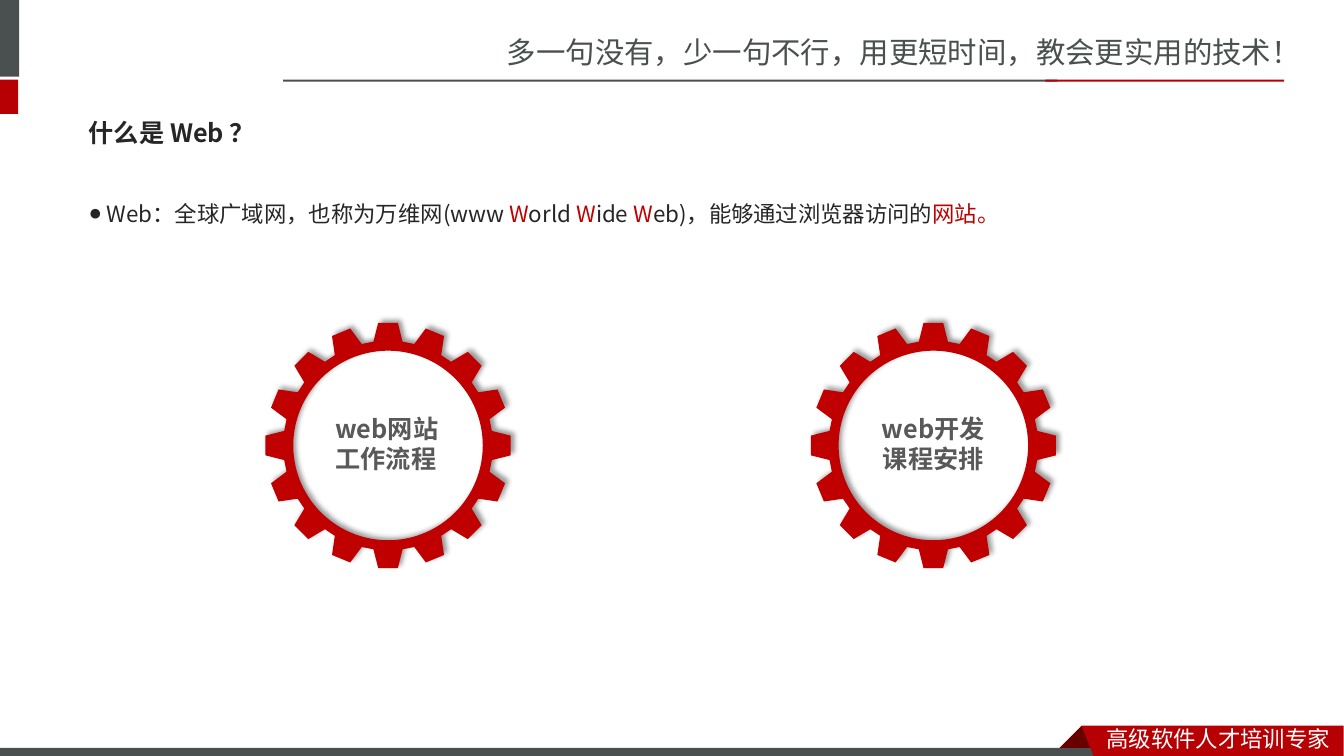
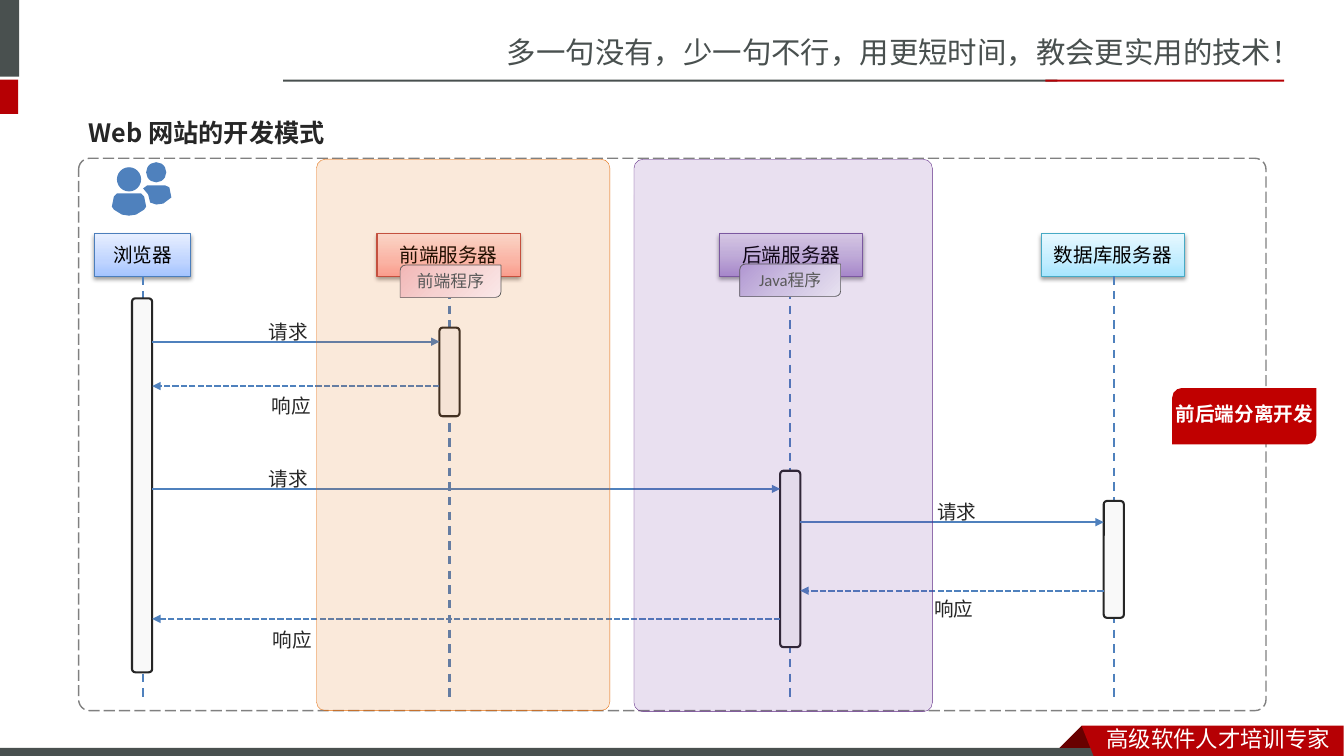
from itertools import chain
from math import cos, radians, sin

from lxml.etree import SubElement
from pptx import Presentation
from pptx.dml.color import RGBColor
from pptx.enum.dml import MSO_LINE
from pptx.enum.shapes import MSO_CONNECTOR, MSO_SHAPE
from pptx.enum.text import MSO_ANCHOR, MSO_AUTO_SIZE, PP_ALIGN
from pptx.oxml.ns import qn
from pptx.util import Emu, Pt

EMU_PER_PX = 9144
SLIDE_SIZE = Emu(12192000), Emu(6858000)

WHITE = RGBColor(0xFF, 0xFF, 0xFF)
BLACK = RGBColor(0x00, 0x00, 0x00)
INK = RGBColor(0x26, 0x26, 0x26)
LABEL_GREY = RGBColor(0x59, 0x59, 0x59)
FRAME_GREY = RGBColor(0x80, 0x80, 0x80)
SLATE = RGBColor(0x49, 0x50, 0x4F)
BRAND_RED = RGBColor(0xB6, 0x00, 0x04)
FOLD_RED = RGBColor(0x68, 0x00, 0x00)
ACCENT_RED = RGBColor(0xC0, 0x00, 0x00)
BLUE = RGBColor(0x4F, 0x81, 0xBD)
BAR_FILL = RGBColor(0xF9, 0xF9, 0xF9)
BROWSER_LINE = RGBColor(0x4B, 0x7E, 0xBC)
FRONT_LINE = RGBColor(0xBF, 0x4C, 0x48)
BACK_LINE = RGBColor(0x7D, 0x60, 0xA0)
DATABASE_LINE = RGBColor(0x46, 0xAA, 0xC5)
ORANGE = RGBColor(0xE4, 0x6C, 0x0A)
PURPLE = RGBColor(0x70, 0x30, 0xA0)
PURPLE_LINE = RGBColor(0x5D, 0x28, 0x84)

# Gradient stops: (position in percent, colour)
BLUE_FADE = [(0, "A4C4FF"), (35, "BFD4FF"), (100, "E6EEFF")]
RED_FADE = [(0, "FFA6A5"), (35, "FFC0BF"), (100, "FFE7E7")]
PURPLE_FADE = [(0, "B197D2"), (50, "CEC1E2"), (100, "E7E1F0")]
CYAN_FADE = [(0, "A7E6FF"), (35, "C1EDFF"), (100, "E7F8FF")]
PINK_FADE = [(0, "F2B7B6"), (50, "F6D2D1"), (100, "FAE8E8")]

SANS_SC, SANS_JP, CALIBRI = "Noto Sans CJK SC", "Noto Sans CJK JP", "Calibri"
SLOGAN_STYLE = dict(size=21, color=SLATE, name=SANS_SC)
FOOTER_STYLE = dict(size=16, color=WHITE, name=SANS_SC)
TITLE_STYLE = dict(size=18, color=INK, name=SANS_JP, bold=True)
BODY_STYLE = dict(size=16, color=INK, name=SANS_JP, spacing=1.5)
GEAR_STYLE = dict(size=18, color=LABEL_GREY, name=SANS_JP, bold=True)
MESSAGE_STYLE = dict(size=14, color=INK, name=SANS_JP, spacing=1.5)
ACTOR_STYLE = dict(size=14, color=BLACK, name=CALIBRI, align=PP_ALIGN.CENTER)
BADGE_STYLE = dict(ACTOR_STYLE, color=WHITE, bold=True)
CHIP_STYLE = dict(ACTOR_STYLE, size=12, color=LABEL_GREY)

SLOGAN = "多一句没有，少一句不行，用更短时间，教会更实用的技术！"
FOOTER = "高级软件人才培训专家"
FRAME_BARS = [
    ((0, 0, 19, 76), SLATE), ((0, 79, 18, 34), BRAND_RED),
    ((281, 79, 768, 2), SLATE), ((1037, 79, 237, 2), BRAND_RED),
    ((0, 742, 1099, 8), SLATE),
]
RIBBON_FOLD = [(1073, 720), (1095, 742), (1051, 742)]
RIBBON = [(1073, 720), (1333, 720), (1333, 750), (1085, 750)]

WEB_TITLE = "什么是 Web ？"
# Runs: (text, accented)
WEB_DEFINITION = [
    ("Web：全球广域网，也称为万维网(www ", False), ("W", True), ("orld ", False),
    ("W", True), ("ide ", False), ("W", True),
    ("eb)，能够通过浏览器访问的", False), ("网站。", True),
]
# Gears: centre, label lines, label box, alignment
GEARS = [
    ((385, 442), ["web网站工作流程"], (323, 405, 123, 71), PP_ALIGN.LEFT),
    ((926, 442), ["web开发", "课程安排"], (846, 405, 160, 71), PP_ALIGN.CENTER),
]

MODE_TITLE = "Web 网站的开发模式"
BAR_WIDTH = 20
# Actors: label, box left and width, gradient, line, lifeline x, bar left, top and bottom
ACTORS = [
    ("浏览器", 94, 95, BLUE_FADE, BROWSER_LINE, 142, 131, 296, 667),
    ("前端服务器", 374, 142, RED_FADE, FRONT_LINE, 446, 436, 325, 413),
    ("后端服务器", 714, 142, PURPLE_FADE, BACK_LINE, 784, 774, 467, 642),
    ("数据库服务器", 1033, 142, CYAN_FADE, DATABASE_LINE, 1105, 1095, 497, 613),
]
BROWSER, FRONT, BACK, DATABASE = range(4)
REQUEST, RESPONSE = "请求", "响应"
# Messages: sender, receiver, y, label, label left and top
MESSAGES = [
    (BROWSER, FRONT, 339, REQUEST, 257, 301), (FRONT, BROWSER, 383, RESPONSE, 260, 374),
    (BROWSER, BACK, 485, REQUEST, 257, 447), (BACK, DATABASE, 518, REQUEST, 920, 479),
    (DATABASE, BACK, 586, RESPONSE, 917, 576), (BACK, BROWSER, 614, RESPONSE, 261, 606),
]
# Bands: box, corner, fill, line
BANDS = [
    ((314, 158, 291, 547), 0.03, ORANGE, ORANGE),
    ((629, 158, 296, 548), 0.03, PURPLE, PURPLE_LINE),
]
CHIPS = [("前端程序", 397, 263, PINK_FADE), ("Java程序", 734, 262, PURPLE_FADE)]
BADGE = "前后端分离开发"
USER_BODIES = [
    [(116, 192), (140, 192), (143, 195), (145, 205), (143, 208), (135, 213),
     (128, 214), (121, 213), (113, 208), (111, 205), (113, 195)],
    [(146, 184), (164, 184), (168, 186), (170, 196), (162, 202), (155, 203),
     (149, 201), (147, 193), (142, 187)],
]
USER_HEADS = [((128, 178), 12), ((155, 171), 10)]


def px(length):
    return Emu(round(length * EMU_PER_PX))


def place(shape, box):
    shape.left, shape.top, shape.width, shape.height = map(px, box)


def style_paragraph(paragraph, size, color, name, bold=False, align=PP_ALIGN.LEFT, spacing=1.0):
    paragraph.alignment = align
    paragraph.line_spacing = spacing
    paragraph.space_before = Pt(0)
    font = paragraph.font
    font.size, font.bold, font.name = Pt(size), bold, name
    font.color.rgb = color
    east_asian = SANS_SC if name == CALIBRI else name
    SubElement(paragraph._p.pPr.find(qn("a:defRPr")), qn("a:ea"), typeface=east_asian)


def write(shape, lines, style):
    frame = shape.text_frame
    frame.word_wrap = True
    frame.text = "\n".join(lines)
    for paragraph in frame.paragraphs:
        style_paragraph(paragraph, **style)
    return frame


def add_text(slide, box, lines, style):
    write(slide.shapes.add_textbox(*map(px, box)), lines, style)


def paint(shape, fill=None, line=None, width=1):
    shape.shadow.inherit = False
    if fill is None:
        shape.fill.background()
    else:
        shape.fill.solid()
        shape.fill.fore_color.rgb = fill
    if line is None:
        shape.line.fill.background()
    else:
        shape.line.color.rgb = line
        shape.line.width = Pt(width)


def add_box(slide, kind, box, fill=None, line=None, width=1, corner=None):
    shape = slide.shapes.add_shape(kind, *map(px, box))
    paint(shape, fill, line, width)
    if corner is not None:
        shape.adjustments[0] = corner
    return shape


def add_outline(slide, contours, fill, circles=()):
    """Draw closed contours and circles as one shape; an inner circle cuts a hole."""
    diamonds = [[(x - r, y), (x, y - r), (x + r, y), (x, y + r)] for (x, y), r in circles]
    first, *others = contours + diamonds
    builder = slide.shapes.build_freeform(*map(px, first[0]))
    builder.add_line_segments([(px(x), px(y)) for x, y in first[1:]])
    for contour in others:
        builder.move_to(*map(px, contour[0]))
        builder.add_line_segments([(px(x), px(y)) for x, y in contour[1:]])
    shape = builder.convert_to_shape()
    starts = shape.element.xpath(".//a:path/a:moveTo")[len(contours):]
    for start, (_, radius) in zip(starts, circles):
        round_off(start, px(radius))
    paint(shape, fill)
    return shape


def round_off(start, radius):
    """Replace the straight sides that follow a moveTo by two half circles."""
    path_element = start.getparent()
    while start.getnext().tag == qn("a:lnTo"):
        path_element.remove(start.getnext())
    for angle in (0, 10800000):
        arc = SubElement(path_element, qn("a:arcTo"), wR=str(radius), hR=str(radius),
                         stAng=str(angle), swAng="10800000")
        start.addnext(arc)


def polar(center, radius, degrees):
    angle = radians(degrees)
    return center[0] + radius * sin(angle), center[1] - radius * cos(angle)


def gear_rim(center, teeth=16):
    tooth = [(104, -8), (122, -4.6), (122, 4.6), (104, 8)]
    return [polar(center, radius, index * 360 / teeth + offset)
            for index in range(teeth) for radius, offset in tooth]


def add_shadow(shape, alpha, blur, distance, direction):
    effects = shape.element.spPr.find(qn("a:effectLst"))
    shadow = SubElement(effects, qn("a:outerShdw"), blurRad=str(Pt(blur)), dist=str(Pt(distance)),
                        dir=str(direction * 60000), algn="ctr", rotWithShape="0")
    color = SubElement(shadow, qn("a:srgbClr"), val="000000")
    SubElement(color, qn("a:alpha"), val=str(alpha * 1000))


def set_gradient(shape, stops, angle):
    shape.fill.gradient()
    gradient = shape.element.spPr.find(qn("a:gradFill"))
    gradient.find(qn("a:lin")).set("ang", str(angle * 60000))
    stop_list = gradient.find(qn("a:gsLst"))
    for stop in list(stop_list):
        stop_list.remove(stop)
    for position, color in stops:
        stop = SubElement(stop_list, qn("a:gs"), pos=str(position * 1000))
        SubElement(stop, qn("a:srgbClr"), val=color)


def add_line(slide, start, end, dash=None, arrow=False):
    line = slide.shapes.add_connector(MSO_CONNECTOR.STRAIGHT, *map(px, chain(start, end)))
    line.line.color.rgb = BLUE
    line.line.width = Pt(1.5)
    if dash is not None:
        line.line.dash_style = dash
    if arrow:
        SubElement(line.line._get_or_add_ln(), qn("a:tailEnd"), type="triangle")
    SubElement(line.element.spPr, qn("a:effectLst"))


def move_frame_to_master(slide, master):
    """Draw the shared bands, slogan and footer, then hand them to the master."""
    own = {shape.shape_id for shape in slide.shapes}
    for box, color in FRAME_BARS:
        add_box(slide, MSO_SHAPE.RECTANGLE, box, color)
    add_outline(slide, [RIBBON_FOLD], FOLD_RED)
    add_outline(slide, [RIBBON], BRAND_RED)
    add_text(slide, (493, 29, 840, 47), [SLOGAN], SLOGAN_STYLE)
    add_text(slide, (1088, 714, 245, 36), [FOOTER], FOOTER_STYLE)
    for shape in [shape for shape in slide.shapes if shape.shape_id not in own]:
        shape.element.xpath("./*/p:cNvPr")[0].set("id", str(100 + shape.shape_id))
        master.shapes.element.append(shape.element)


def add_slide(presentation, layout_index, title):
    slide = presentation.slides.add_slide(presentation.slide_layouts[layout_index])
    place(slide.shapes.title, (78, 103, 370, 57))
    frame = write(slide.shapes.title, [title], TITLE_STYLE)
    frame.vertical_anchor = MSO_ANCHOR.MIDDLE
    frame.auto_size = MSO_AUTO_SIZE.NONE
    return slide


def fill_web_slide(slide):
    body = slide.placeholders[1]
    place(body, (78, 180, 946, 59))
    body.text_frame.auto_size = MSO_AUTO_SIZE.NONE
    paragraph = body.text_frame.paragraphs[0]
    properties = paragraph._p.get_or_add_pPr()
    properties.set("marL", str(px(18)))
    properties.set("indent", str(-px(18)))
    SubElement(properties, qn("a:buChar"), char="●")
    style_paragraph(paragraph, **BODY_STYLE)
    for text, accented in WEB_DEFINITION:
        run = paragraph.add_run()
        run.text = text
        if accented:
            run.font.color.rgb = ACCENT_RED
    for center, lines, box, align in GEARS:
        gear = add_outline(slide, [gear_rim(center)], ACCENT_RED, [(center, 94)])
        add_shadow(gear, 40, 4, 3, 315)
        add_text(slide, box, lines, dict(GEAR_STYLE, align=align))


def fill_mode_slide(slide):
    for label, left, width, stops, line, x, bar_left, top, bottom in ACTORS:
        actor = add_box(slide, MSO_SHAPE.RECTANGLE, (left, 232, width, 42), WHITE, line, 0.75)
        set_gradient(actor, stops, 270)
        add_shadow(actor, 38, 3.1, 1.6, 90)
        write(actor, [label], ACTOR_STYLE)
        add_line(slide, (x, 274), (x, 693), MSO_LINE.DASH)
        bar_box = (bar_left, top, BAR_WIDTH, bottom - top)
        add_box(slide, MSO_SHAPE.ROUNDED_RECTANGLE, bar_box, BAR_FILL, INK, 1.5)
    for sender, receiver, y, label, left, top in MESSAGES:
        start, end = ACTORS[sender][6], ACTORS[receiver][6]
        if start < end:
            start += BAR_WIDTH
        else:
            end += BAR_WIDTH
        dash = MSO_LINE.SQUARE_DOT if label == RESPONSE else None
        add_line(slide, (start, y), (end, y), dash, arrow=True)
        add_text(slide, (left, top, 67, 39), [label], MESSAGE_STYLE)
    add_outline(slide, USER_BODIES, BLUE, USER_HEADS)
    frame = add_box(slide, MSO_SHAPE.ROUNDED_RECTANGLE, (78, 157, 1178, 548), None, FRAME_GREY, 1, 0.02)
    frame.line.dash_style = MSO_LINE.LONG_DASH
    badge = add_box(slide, MSO_SHAPE.ROUND_2_DIAG_RECTANGLE, (1163, 385, 143, 56), ACCENT_RED)
    text = write(badge, [BADGE], BADGE_STYLE)
    text.margin_left = text.margin_right = text.margin_top = 0
    text.margin_bottom = px(5)
    for box, corner, fill, line in BANDS:
        band = add_box(slide, MSO_SHAPE.ROUNDED_RECTANGLE, box, fill, line, 0.25, corner)
        color = band.element.spPr.find(qn("a:solidFill"))[0]
        SubElement(color, qn("a:alpha"), val="15000")
    for label, left, top, stops in CHIPS:
        chip = add_box(slide, MSO_SHAPE.ROUND_2_DIAG_RECTANGLE, (left, top, 100, 32), WHITE, LABEL_GREY, 0.5)
        set_gradient(chip, stops, 45)
        write(chip, [label], CHIP_STYLE)


def main():
    presentation = Presentation()
    presentation.slide_width, presentation.slide_height = SLIDE_SIZE
    web_slide = add_slide(presentation, 1, WEB_TITLE)
    move_frame_to_master(web_slide, presentation.slide_master)
    fill_web_slide(web_slide)
    fill_mode_slide(add_slide(presentation, 5, MODE_TITLE))
    presentation.save("out.pptx")


if __name__ == "__main__":
    main()
